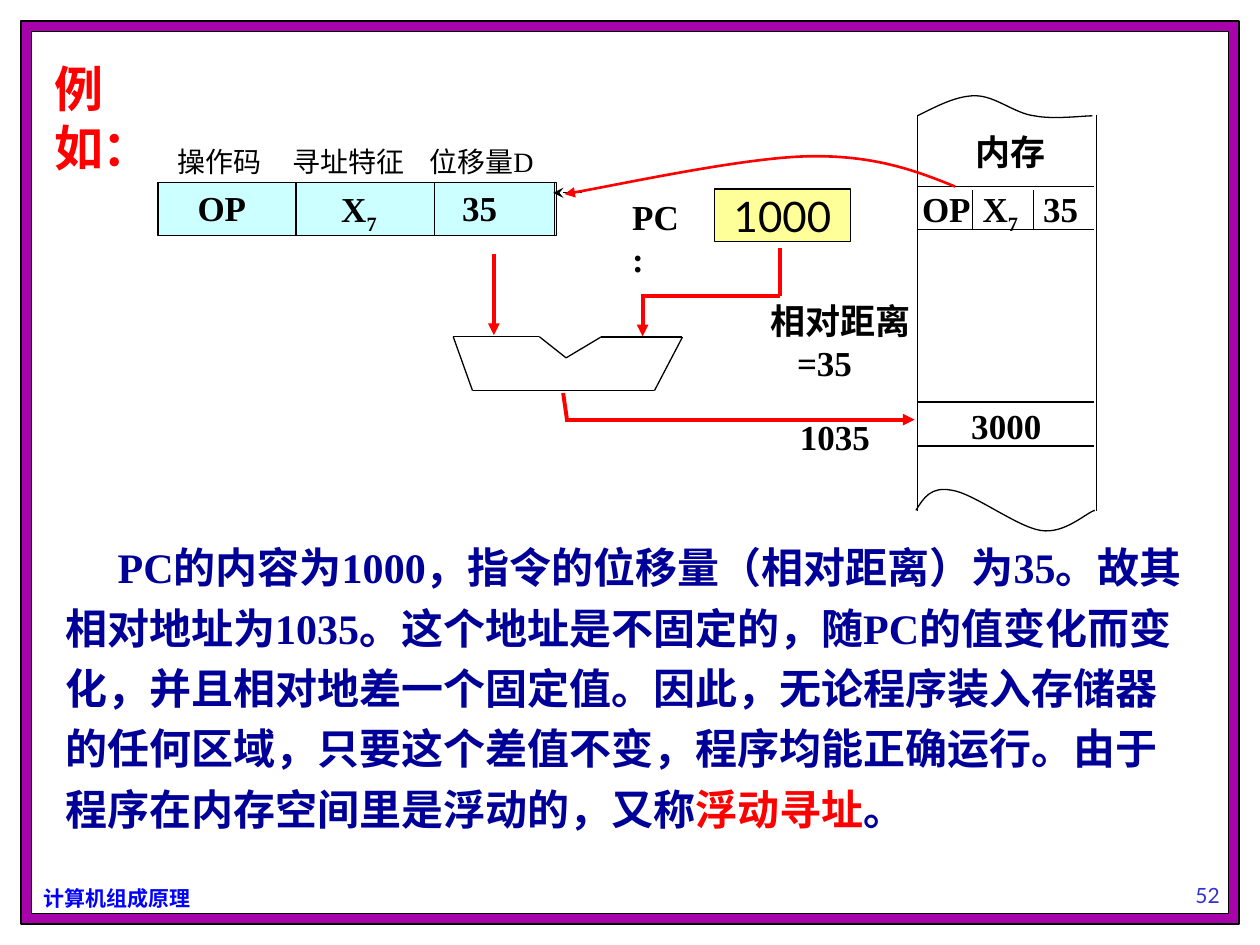
from dataclasses import dataclass

from lxml import etree
from pptx import Presentation
from pptx.dml.color import RGBColor
from pptx.enum.shapes import MSO_CONNECTOR, MSO_SHAPE
from pptx.enum.text import MSO_ANCHOR, PP_ALIGN
from pptx.oxml.ns import qn
from pptx.util import Pt

STRAIGHT = MSO_CONNECTOR.STRAIGHT
RECT = MSO_SHAPE.RECTANGLE
TOP, MIDDLE, BOTTOM = MSO_ANCHOR.TOP, MSO_ANCHOR.MIDDLE, MSO_ANCHOR.BOTTOM
LEFT, CENTER = PP_ALIGN.LEFT, PP_ALIGN.CENTER

BLACK = RGBColor(0x00, 0x00, 0x00)
WHITE = RGBColor(0xFF, 0xFF, 0xFF)
PURPLE = RGBColor(0xA6, 0x03, 0xAB)
RED = RGBColor(0xFF, 0x00, 0x00)
BLUE = RGBColor(0x00, 0x00, 0xFF)
NAVY = RGBColor(0x00, 0x00, 0x99)
INDIGO = RGBColor(0x33, 0x33, 0xCC)
CYAN = RGBColor(0xCC, 0xFF, 0xFF)
YELLOW = RGBColor(0xFF, 0xFF, 0x99)

SERIF, SANS, CJK = "Times New Roman", "Lato", "Noto Sans CJK SC"


@dataclass
class Run:
    text: str
    color: RGBColor = BLACK
    subscript: bool = False


@dataclass
class Label:
    box: tuple
    paragraphs: list
    size: float = 20
    font: str = SERIF
    bold: bool = True
    align: PP_ALIGN = LEFT
    anchor: MSO_ANCHOR = TOP
    wrap: bool = True
    spacing: float = 1.0
    indents: tuple = (0,)


@dataclass
class Line:
    start: tuple
    end: tuple
    color: RGBColor = BLACK
    width: float = 0.75
    head: str = ""


@dataclass
class Box:
    box: tuple
    fill: RGBColor


@dataclass
class Curve:
    start: tuple
    controls: list
    color: RGBColor = BLACK
    width: float = 0.75
    head: str = ""


def points(values: tuple) -> list:
    return [Pt(v) for v in values]


def style_line(sp, color: RGBColor, width: float, head: str = "") -> None:
    sp.line.color.rgb = color
    sp.line.width = Pt(width)
    if head:
        etree.SubElement(sp.line._get_or_add_ln(), qn("a:tailEnd"), type=head)


def draw_box(s, item: Box) -> None:
    sp = s.shapes.add_shape(RECT, *points(item.box))
    sp.shadow.inherit = False
    sp.fill.solid()
    sp.fill.fore_color.rgb = item.fill
    style_line(sp, BLACK, 0.75)


def draw_line(s, item: Line) -> None:
    sp = s.shapes.add_connector(STRAIGHT, *points(item.start + item.end))
    style_line(sp, item.color, item.width, item.head)
    etree.SubElement(sp._element.spPr, qn("a:effectLst"))


def draw_curve(s, item: Curve) -> None:
    builder = s.shapes.build_freeform(*points(item.start))
    builder.add_line_segments([points(c) for c in item.controls], close=False)
    sp = builder.convert_to_shape()
    outline = next(sp._element.iter(qn("a:path")))
    segments = outline.findall(qn("a:lnTo"))
    for i in range(0, len(segments), 3):
        cubic = etree.SubElement(outline, qn("a:cubicBezTo"))
        for segment in segments[i:i + 3]:
            cubic.append(segment[0])
            outline.remove(segment)
    sp.shadow.inherit = False
    sp.fill.background()
    style_line(sp, item.color, item.width, item.head)


def draw_label(s, item: Label) -> None:
    tf = s.shapes.add_textbox(*points(item.box)).text_frame
    frame = {"word_wrap": item.wrap, "vertical_anchor": item.anchor}
    for name, value in frame.items():
        setattr(tf, name, value)
    for i, runs in enumerate(item.paragraphs):
        p = tf.add_paragraph() if i else tf.paragraphs[0]
        p.alignment = item.align
        p.line_spacing = item.spacing
        ppr = p._p.get_or_add_pPr()
        ppr.set("indent", str(Pt(item.indents[i])))
        ppr.set("hangingPunct", "0")
        for run in runs:
            r = p.add_run()
            r.text = run.text
            fmt = {"size": Pt(item.size), "bold": item.bold, "name": item.font}
            for name, value in fmt.items():
                setattr(r.font, name, value)
            r.font.color.rgb = run.color
            rpr = r._r.get_or_add_rPr()
            etree.SubElement(rpr, qn("a:ea"), typeface=CJK)
            if run.subscript:
                rpr.set("baseline", "-25000")


X7 = [Run("X"), Run("7", subscript=True)]
EXPLANATION = [
    Run("PC的内容为1000，指令的位移量（相对距离）为35。故其相对地址为1035。"
        "这个地址是不固定的，随PC的值变化而变化，并且相对地差一个固定值。"
        "因此，无论程序装入存储器的任何区域，只要这个差值不变，程序均能正确运行。"
        "由于程序在内存空间里是浮动的，又称", NAVY),
    Run("浮动寻址", RED),
    Run("。", NAVY),
]

BOXES = [
    Box((12, 12, 696, 516), PURPLE),
    Box((18, 18, 684, 504), WHITE),
    Box((90, 104.4, 228, 30.2), CYAN),
    Box((408.2, 108, 77.8, 30.2), YELLOW),
]

INSTRUCTION = [Line((x, 104.5), (x, 135)) for x in (90.7, 169.2, 248.4, 316.8)]
INSTRUCTION += [Line((90.7, y), (316.8, y)) for y in (104.4, 134.6)]

ADDER_POINTS = [(259, 192.4), (308.2, 192.4), (323.5, 204.5), (343.4, 192.6),
                (390, 192.6), (374, 223.2), (270, 223.2), (259, 192.4)]
ADDER = [Line(a, b) for a, b in zip(ADDER_POINTS, ADDER_POINTS[1:])]

MEMORY = [Line((524.5, y), (625, y)) for y in (106.6, 131, 229.7, 254.9)]
MEMORY += [Line((x, 108.7), (x, 131)) for x in (555.8, 590.4)]
MEMORY += [Line((x, 65.5), (x, 292.3)) for x in (524.2, 626.4)]

FLOW = [
    Line((282.2, 145.4), (282.2, 191.5), RED, 2.25, "triangle"),
    Line((445.7, 141.8), (445.7, 169.2), RED, 2.25),
    Line((445.7, 169.2), (366.5, 169.2), RED, 2.25),
    Line((367.2, 169.2), (367.2, 192.2), RED, 2.25, "triangle"),
    Line((321.8, 224.6), (324, 239.8), RED, 2.25),
    Line((322.6, 239.8), (522.7, 239.8), RED, 2.25, "triangle"),
    Line((332.6, 110.2), (316.1, 110.2), head="stealth"),
]

CURVES = [
    Curve((524.2, 66.2), [(535.7, 60.5), (546.5, 54.7), (557.3, 54.7),
                          (568.8, 54.7), (579.6, 64.8), (591.1, 66.2),
                          (601.9, 68.4), (618.5, 66.2), (624.2, 66.2)]),
    Curve((523.4, 291.6), [(527.8, 284.4), (532.1, 277.9), (543.6, 280.1),
                           (555.8, 281.5), (581, 301), (594.7, 303.1),
                           (608.4, 305.3), (620.6, 293), (625.7, 291.6)]),
    Curve((545.8, 106.6), [(522.7, 97.2), (499, 88.6), (462.2, 89.3),
                           (424.8, 90), (345.6, 107.3), (322.6, 110.9)],
          RED, 1.5, "triangle"),
]

FIELD_NAMES = [(94.3, 70, "操作码"), (160.2, 85, "寻址特征"), (238.4, 90, "位移量D")]

LABELS = [
    Label((18, 502.6, 100, 21.6), [[Run("计算机组成原理", BLUE)]], 12, CJK),
    Label((624.2, 486, 131.8, 36), [[Run("52", INDIGO)]], 12, SANS, False, CENTER, BOTTOM),
    Label((30.2, 300.2, 656.6, 180), [EXPLANATION], 24, spacing=1.2, indents=(30,)),
    Label((23.8, 30.2, 82, 41), [[Run("例如：", RED)]], 28),
    Label((105.8, 103, 95, 39.6), [[Run("OP")]]),
    Label((187.9, 103.7, 95, 39.6), [X7]),
    Label((257, 103, 95, 36), [[Run("35")]]),
    Label((354.2, 108, 47.5, 32.4), [[Run("PC:")]]),
    Label((433.4, 167.8, 110.2, 57.6), [[Run("相对距离")], [Run("=35")]], indents=(0, 15)),
    Label((550.1, 71.3, 71.3, 32.4), [[Run("内存")]]),
    Label((519.8, 103.7, 56.9, 33.1), [[Run("OP")]]),
    Label((554.4, 103.7, 43.2, 33.1), [X7]),
    Label((589, 103.7, 56.9, 33.1), [[Run("35")]]),
    Label((547.9, 227.5, 71.3, 32.4), [[Run("3000")]]),
    Label((450, 234, 78.5, 34.6), [[Run("1035")]]),
    Label((408.2, 108, 77.8, 30.2), [[Run("1000")]], 24, SANS, False, CENTER, MIDDLE, False),
]
LABELS += [Label((x, 79.2, w, 36.7), [[Run(name)]], 16, bold=False)
           for x, w, name in FIELD_NAMES]


def main() -> None:
    prs = Presentation()
    prs.slide_width, prs.slide_height = Pt(720), Pt(540)
    s = prs.slides.add_slide(prs.slide_layouts[6])
    for box in BOXES:
        draw_box(s, box)
    for line in INSTRUCTION + ADDER + MEMORY + FLOW:
        draw_line(s, line)
    for curve in CURVES:
        draw_curve(s, curve)
    for label in LABELS:
        draw_label(s, label)
    prs.save("out.pptx")


if __name__ == "__main__":
    main()
